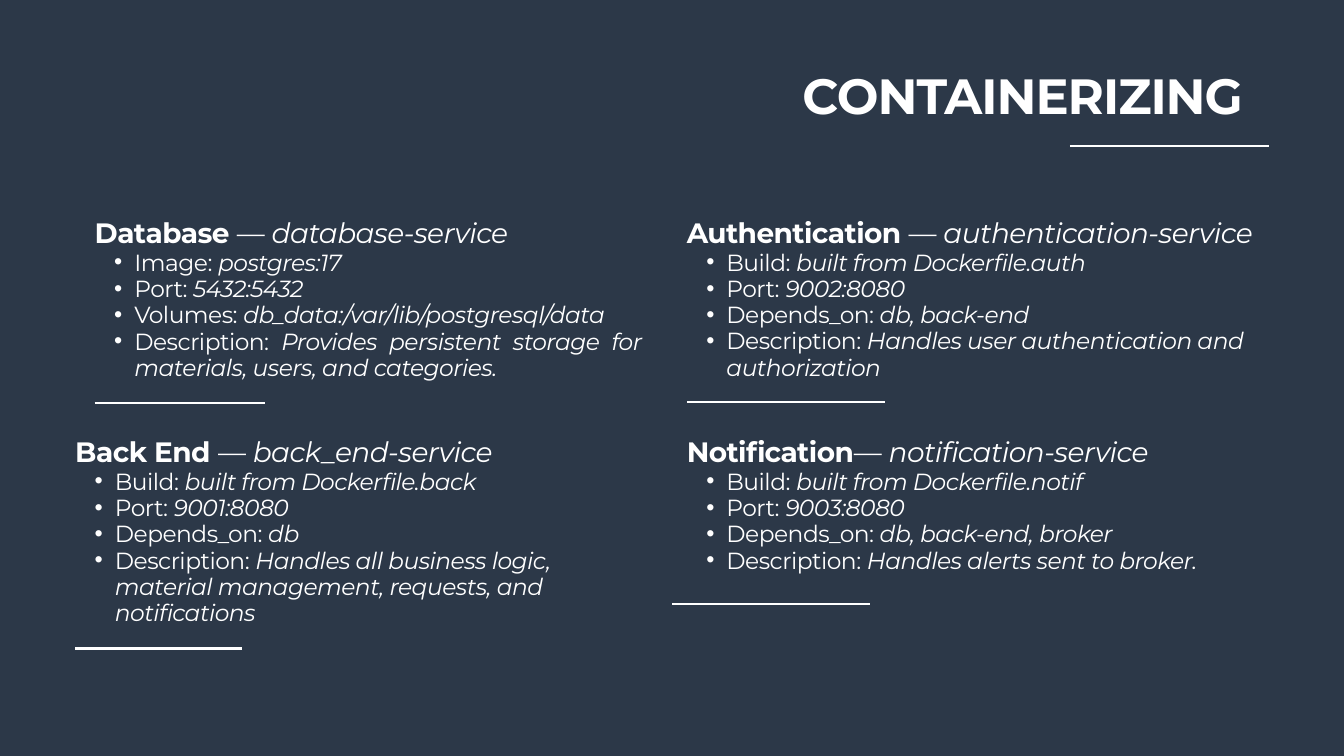
from lxml import etree
from pptx import Presentation
from pptx import util as u
from pptx.dml.color import RGBColor
from pptx.enum import shapes, text
from pptx.oxml.ns import qn

WHITE, NAVY = "FFFFFF", "2C3848"
LEFT, JUST = text.PP_ALIGN.LEFT, text.PP_ALIGN.JUSTIFY

deck = Presentation()
deck.slide_width, deck.slide_height = u.Inches(20), u.Inches(11.25)
slide = deck.slides.add_slide(deck.slide_layouts[6])
fill = slide.background.fill
fill.solid()
fill.fore_color.rgb = RGBColor.from_string(NAVY)


def add_box(x, y, w, h):
    frame = slide.shapes.add_textbox(*map(u.Inches, (x, y, w, h))).text_frame
    form = dict(word_wrap=True, auto_size=text.MSO_AUTO_SIZE.SHAPE_TO_FIT_TEXT,
                margin_left=0, margin_top=0, margin_right=0, margin_bottom=0)
    for key, val in form.items():
        setattr(frame, key, val)
    return frame


def add_runs(para, size, gap, parts):
    """Add (words, bold, italic) parts; gap is the letter spacing in 1/100 pt."""
    for words, bold, slant in parts:
        run = para.add_run()
        run.text = words
        form = dict(name="Montserrat", size=u.Pt(size), bold=bold, italic=slant)
        for key, val in form.items():
            setattr(run.font, key, val)
        run.font.color.rgb = RGBColor.from_string(WHITE)
        run.font._element.set("spc", str(gap))


title = add_box(11.94, 1.13, 6.94, 0.74).paragraphs[0]
title.line_spacing = u.Pt(52)
add_runs(title, 53, -110, [("CONTAINERIZING", True, False)])

# box, head, service name, alignment of the last item, items
cards = [
    ((1.41, 3.24, 8.14, 2.78), "Database ", "database-service", JUST, [
        ("Image", "postgres:17"),
        ("Port", "5432:5432"),
        ("Volumes", "db_data:/var/lib/postgresql/data"),
        ("Description", "Provides persistent storage for materials, users, "
                        "and categories.")]),
    ((1.12, 6.5, 8.43, 3.55), "Back End ", "back_end-service", LEFT, [
        ("Build", "built from Dockerfile.back"),
        ("Port", "9001:8080"),
        ("Depends_on", "db"),
        ("Description", "Handles all business logic, material management, "
                        "requests, and notifications")]),
    ((10.22, 3.24, 10.04, 3.16), "Authentication ", "authentication-service", LEFT, [
        ("Build", "built from Dockerfile.auth"),
        ("Port", "9002:8080"),
        ("Depends_on", "db, back-end"),
        ("Description", "Handles user authentication and authorization")]),
    ((10.22, 6.5, 10.04, 2.78), "Notification", "notification-service", JUST, [
        ("Build", "built from Dockerfile.notif"),
        ("Port", "9003:8080"),
        ("Depends_on", "db, back-end, broker"),
        ("Description", "Handles alerts sent to broker.")]),
]
for box, head, name, last, items in cards:
    frame = add_box(*box)
    para = frame.paragraphs[0]
    para.alignment, para.line_spacing = JUST, u.Pt(33.9)
    add_runs(para, 30, -60, [(head, True, False), ("— ", False, False),
                             (name, False, True)])
    for label, value in items:
        para = frame.add_paragraph()
        para.level, para.line_spacing = 1, u.Pt(28.2)
        para.alignment = last if label == "Description" else JUST
        props = para._p.get_or_add_pPr()
        props.set("marL", str(u.Inches(0.59)))
        props.set("indent", str(u.Inches(-0.3)))
        etree.SubElement(props, qn("a:buFont")).set("typeface", "Arial")
        etree.SubElement(props, qn("a:buChar")).set("char", "•")
        add_runs(para, 25, -50, [(label + ": ", False, False),
                                 (value, False, True)])

rules = [(15.92, 2.17, 2.96), (1.41, 6, 2.53), (1.12, 9.65, 2.48),
         (10.22, 5.98, 2.95), (10, 8.99, 2.95)]
for x, y, wide in rules:
    rule = slide.shapes.add_connector(
        shapes.MSO_CONNECTOR.STRAIGHT, *map(u.Inches, (x, y, x + wide, y)))
    rule.line.color.rgb = RGBColor.from_string(WHITE)
    rule.line.width = u.Pt(2.25)
    etree.SubElement(rule._element.spPr, qn("a:effectLst"))

deck.save("out.pptx")
